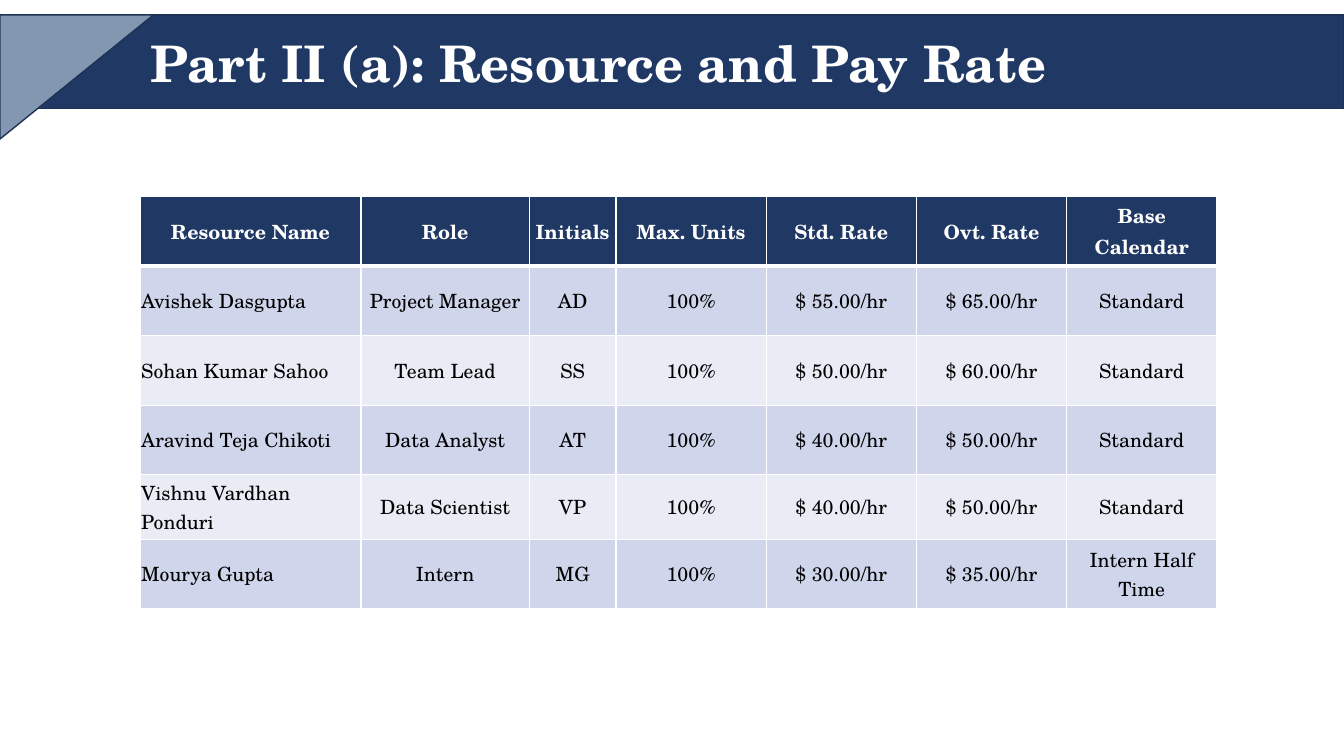
from lxml import etree
from pptx import Presentation
from pptx.dml.color import RGBColor
from pptx.enum.shapes import MSO_SHAPE
from pptx.enum.text import MSO_ANCHOR, MSO_AUTO_SIZE, PP_ALIGN
from pptx.oxml.ns import qn
from pptx.util import Inches, Pt

RECT, WEDGE = MSO_SHAPE.RECTANGLE, MSO_SHAPE.RIGHT_TRIANGLE
MIDDLE = MSO_ANCHOR.MIDDLE
LEFT, CENTER = PP_ALIGN.LEFT, PP_ALIGN.CENTER
GROW = MSO_AUTO_SIZE.SHAPE_TO_FIT_TEXT

TITLE = "Part II (a): Resource and Pay Rate"
HEAD = ("Resource Name", "Role", "Initials", "Max. Units",
        "Std. Rate", "Ovt. Rate", "Base Calendar")
STAFF = [
    ("Avishek Dasgupta", "Project Manager", "AD", "100%",
     "$ 55.00/hr", "$ 65.00/hr", "Standard"),
    ("Sohan Kumar Sahoo", "Team Lead", "SS", "100%",
     "$ 50.00/hr", "$ 60.00/hr", "Standard"),
    ("Aravind Teja Chikoti", "Data Analyst", "AT", "100%",
     "$ 40.00/hr", "$ 50.00/hr", "Standard"),
    ("Vishnu Vardhan Ponduri", "Data Scientist", "VP", "100%",
     "$ 40.00/hr", "$ 50.00/hr", "Standard"),
    ("Mourya Gupta", "Intern", "MG", "100%",
     "$ 30.00/hr", "$ 35.00/hr", "Intern Half Time"),
]
WIDTHS = (2.19, 1.67, 0.86) + (1.49,) * 4
HEIGHTS = (0.69,) * 4 + (0.64, 0.69)
WIDE, HIGH = 13.33, 7.5
EDGE, TOP = 1.39, 0.15
INSET = 0.01


class Theme:
    font = "TeX Gyre Schola"
    title, body = 36, 14
    navy, slate, rim = "203864", "8497B0", "1E3256"
    bands = ("CFD5EA", "E9EBF5")
    white, black = "FFFFFF", "000000"
    thin, thick = 1, 3


def paint(fill, color):
    fill.solid()
    fill.fore_color.rgb = RGBColor.from_string(color)


def style(frame, size, color, bold, align):
    para = frame.paragraphs[0]
    para.alignment = align
    for run in para.runs:
        run.font.name = Theme.font
        run.font.size = Pt(size)
        run.font.bold = bold
        run.font.color.rgb = RGBColor.from_string(color)


def add_band(slide, kind, width, height, color):
    shape = slide.shapes.add_shape(
        kind, 0, Inches(TOP), Inches(width), Inches(height))
    shape.shadow.inherit = False
    paint(shape.fill, color)
    paint(shape.line.fill, Theme.rim)
    shape.line.width = Pt(Theme.thin)
    return shape


def add_rules(cell, row):
    sides = {
        "lnL": Theme.thin,
        "lnR": Theme.thin,
        "lnT": Theme.thick if row == 1 else Theme.thin,
        "lnB": Theme.thick if row == 0 else Theme.thin,
    }
    props = cell._tc.get_or_add_tcPr()
    for place, (side, width) in enumerate(sides.items()):
        rule = etree.Element(qn("a:" + side), w=str(Pt(width)))
        fill = etree.SubElement(rule, qn("a:solidFill"))
        etree.SubElement(fill, qn("a:srgbClr"), val=Theme.white)
        props.insert(place, rule)


def fill_cell(cell, text, row, col):
    head = row == 0
    cell.margin_left = cell.margin_right = Inches(INSET)
    cell.margin_top = cell.margin_bottom = Inches(INSET)
    cell.vertical_anchor = MIDDLE
    cell.text_frame.text = text
    style(cell.text_frame, Theme.body,
          Theme.white if head else Theme.black, head,
          CENTER if head or col else LEFT)
    paint(cell.fill, Theme.navy if head else Theme.bands[(row - 1) % 2])
    add_rules(cell, row)


def add_title(slide):
    title = slide.shapes.title
    title.element.getparent().append(title.element)
    title.left, title.top = Inches(EDGE), Inches(0.26)
    title.width, title.height = Inches(11.63), Inches(0.71)
    frame = title.text_frame
    frame.text = TITLE
    frame.word_wrap = True
    frame.auto_size = GROW
    frame.vertical_anchor = MIDDLE
    style(frame, Theme.title, Theme.white, True, LEFT)


def add_rates(slide):
    rows = [HEAD] + STAFF
    table = slide.shapes.add_table(
        len(rows), len(HEAD), Inches(EDGE), Inches(1.95),
        Inches(sum(WIDTHS)), Inches(sum(HEIGHTS))).table
    for column, width in zip(table.columns, WIDTHS):
        column.width = Inches(width)
    for line, height in zip(table.rows, HEIGHTS):
        line.height = Inches(height)
    for row, texts in enumerate(rows):
        for col, text in enumerate(texts):
            fill_cell(table.cell(row, col), text, row, col)


def main():
    deck = Presentation()
    deck.slide_width, deck.slide_height = Inches(WIDE), Inches(HIGH)
    slide = deck.slides.add_slide(deck.slide_layouts[5])
    add_band(slide, RECT, WIDE, 0.93, Theme.navy)
    wedge = add_band(slide, WEDGE, 1.52, 1.23, Theme.slate)
    wedge.element.spPr.get_or_add_xfrm().set("flipV", "1")
    add_title(slide)
    add_rates(slide)
    deck.save("out.pptx")


if __name__ == "__main__":
    main()
